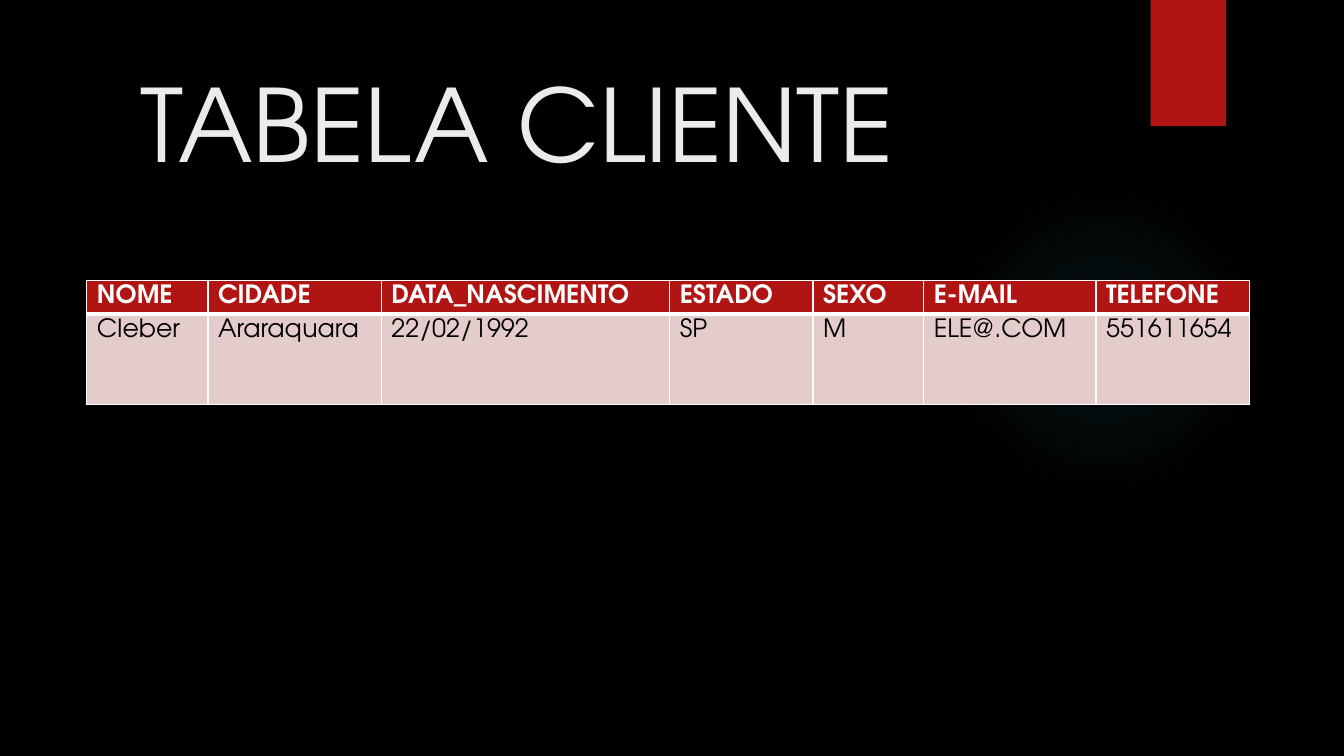
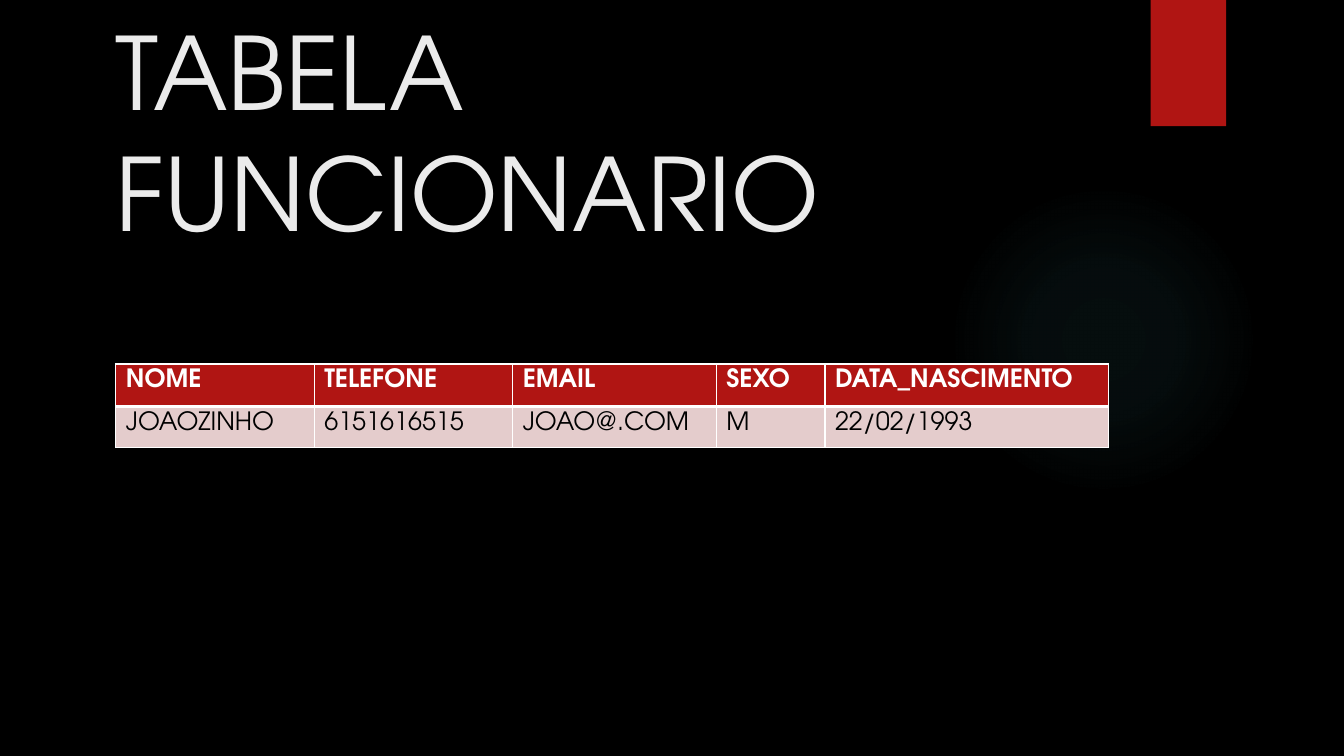
from lxml import etree
from pptx import Presentation
from pptx.dml.color import RGBColor
from pptx.enum.shapes import MSO_SHAPE
from pptx.enum.text import MSO_ANCHOR, MSO_AUTO_SIZE, PP_ALIGN
from pptx.oxml import parse_xml
from pptx.oxml.ns import nsdecls, qn
from pptx.util import Cm, Pt

OVAL, RECTANGLE = MSO_SHAPE.OVAL, MSO_SHAPE.RECTANGLE
BOTTOM, LEFT, NO_AUTOFIT = MSO_ANCHOR.BOTTOM, PP_ALIGN.LEFT, MSO_AUTO_SIZE.NONE

FONT = "TeX Gyre Adventor"
BLACK, WHITE, RED, PINK = "000000", "FFFFFF", "B01513", "E4CCCC"
TITLE_COLOR, GLOW_COLOR = "EBEBEB", "50B9C1"
TITLE_WIDTH, TITLE_HEIGHT = 24.51, 9.25

SLIDES = [
    {
        "title": "TABELA CLIENTE",
        "title_at": (3.28, -4.52),
        "table_at": (2.19, 7.06),
        "columns": [3.05, 4.37, 7.27, 3.61, 2.79, 4.34, 3.87],
        "rows": [0.85, 2.29],
        "cells": [
            ["NOME", "CIDADE", "DATA_NASCIMENTO", "ESTADO", "SEXO", "E-MAIL", "TELEFONE"],
            ["Cleber", "Araraquara", "22/02/1992", "SP", "M", "ELE@.COM", "551611654"],
        ],
    },
    {
        "title": "TABELA FUNCIONARIO",
        "title_at": (2.65, -2.77),
        "table_at": (2.92, 9.17),
        "columns": [5, 5, 5.13, 2.74, 7.14],
        "rows": [1.07, 1.04],
        "cells": [
            ["NOME", "TELEFONE", "EMAIL", "SEXO", "DATA_NASCIMENTO"],
            ["JOAOZINHO", "6151616515", "JOAO@.COM", "M", "22/02/1993"],
        ],
    },
]


def rgb(value):
    return RGBColor.from_string(value)


def style_text(paragraph, size, color, bold=False):
    paragraph.alignment = LEFT
    for run in paragraph.runs:
        font = run.font
        font.name, font.size, font.bold = FONT, Pt(size), bold
        font.color.rgb = rgb(color)


prs = Presentation()
prs.slide_width, prs.slide_height = Cm(33.87), Cm(19.05)
title_only = prs.slide_layouts[5]

# Shared background
background = prs.slide_master.background.fill
background.solid()
background.fore_color.rgb = rgb(BLACK)

slides = [prs.slides.add_slide(title_only) for _ in SLIDES]

# Glow and red ribbon, moved to the layout that both slides use
glow = slides[0].shapes.add_shape(OVAL, Cm(23.9), Cm(4.65), Cm(7.82), Cm(7.82))
ribbon = slides[0].shapes.add_shape(RECTANGLE, Cm(29), 0, Cm(1.9), Cm(3.18))
for decoration in (glow, ribbon):
    decoration.shadow.inherit = False
    decoration.line.fill.background()
    title_only.shapes.element.append(decoration.element)

glow.fill.gradient()
gradient = glow.element.spPr.find(qn("a:gradFill"))
stops = "".join(
    f'<a:gs pos="{position * 1000}"><a:srgbClr val="{GLOW_COLOR}">'
    f'<a:alpha val="{alpha * 1000}"/></a:srgbClr></a:gs>'
    for position, alpha in [(0, 7), (36, 6), (69, 0)]
)
gradient.getparent().replace(gradient, parse_xml(
    f'<a:gradFill {nsdecls("a")}><a:gsLst>{stops}</a:gsLst><a:path path="circle">'
    '<a:fillToRect l="50000" t="50000" r="50000" b="50000"/></a:path></a:gradFill>'
))

ribbon.fill.solid()
ribbon.fill.fore_color.rgb = rgb(RED)
ribbon.element.spPr.find(qn("a:effectLst")).append(parse_xml(
    f'<a:outerShdw {nsdecls("a")} blurRad="{Pt(3)}" dist="{Pt(2)}" dir="5400000" rotWithShape="0">'
    f'<a:srgbClr val="{BLACK}"><a:alpha val="45000"/></a:srgbClr></a:outerShdw>'
))

for slide, content in zip(slides, SLIDES):
    # Title
    title = slide.shapes.title
    title.left, title.top = (Cm(value) for value in content["title_at"])
    title.width, title.height = Cm(TITLE_WIDTH), Cm(TITLE_HEIGHT)
    frame = title.text_frame
    frame.text = content["title"]
    frame.word_wrap, frame.auto_size = True, NO_AUTOFIT
    frame.vertical_anchor = BOTTOM
    style_text(frame.paragraphs[0], 72, TITLE_COLOR)

    # Table
    columns, rows = content["columns"], content["rows"]
    left, top = content["table_at"]
    table = slide.shapes.add_table(
        len(rows), len(columns), Cm(left), Cm(top), Cm(sum(columns)), Cm(sum(rows))
    ).table
    table.horz_banding = False
    for column, width in zip(table.columns, columns):
        column.width = Cm(width)
    for row, height in zip(table.rows, rows):
        row.height = Cm(height)

    for r, texts in enumerate(content["cells"]):
        header = r == 0
        for c, text in enumerate(texts):
            cell = table.cell(r, c)
            cell.text = text
            cell.fill.solid()
            cell.fill.fore_color.rgb = rgb(RED if header else PINK)
            style_text(cell.text_frame.paragraphs[0], 18, WHITE if header else BLACK, header)

            # White borders, thicker between header and body
            properties = cell._tc.get_or_add_tcPr()
            for index, side in enumerate("LRTB"):
                thick = side == ("B" if header else "T")
                border = etree.Element(qn(f"a:ln{side}"), w=str(Pt(3 if thick else 1)))
                fill = etree.SubElement(border, qn("a:solidFill"))
                etree.SubElement(fill, qn("a:srgbClr"), val=WHITE)
                properties.insert(index, border)

prs.save("out.pptx")
